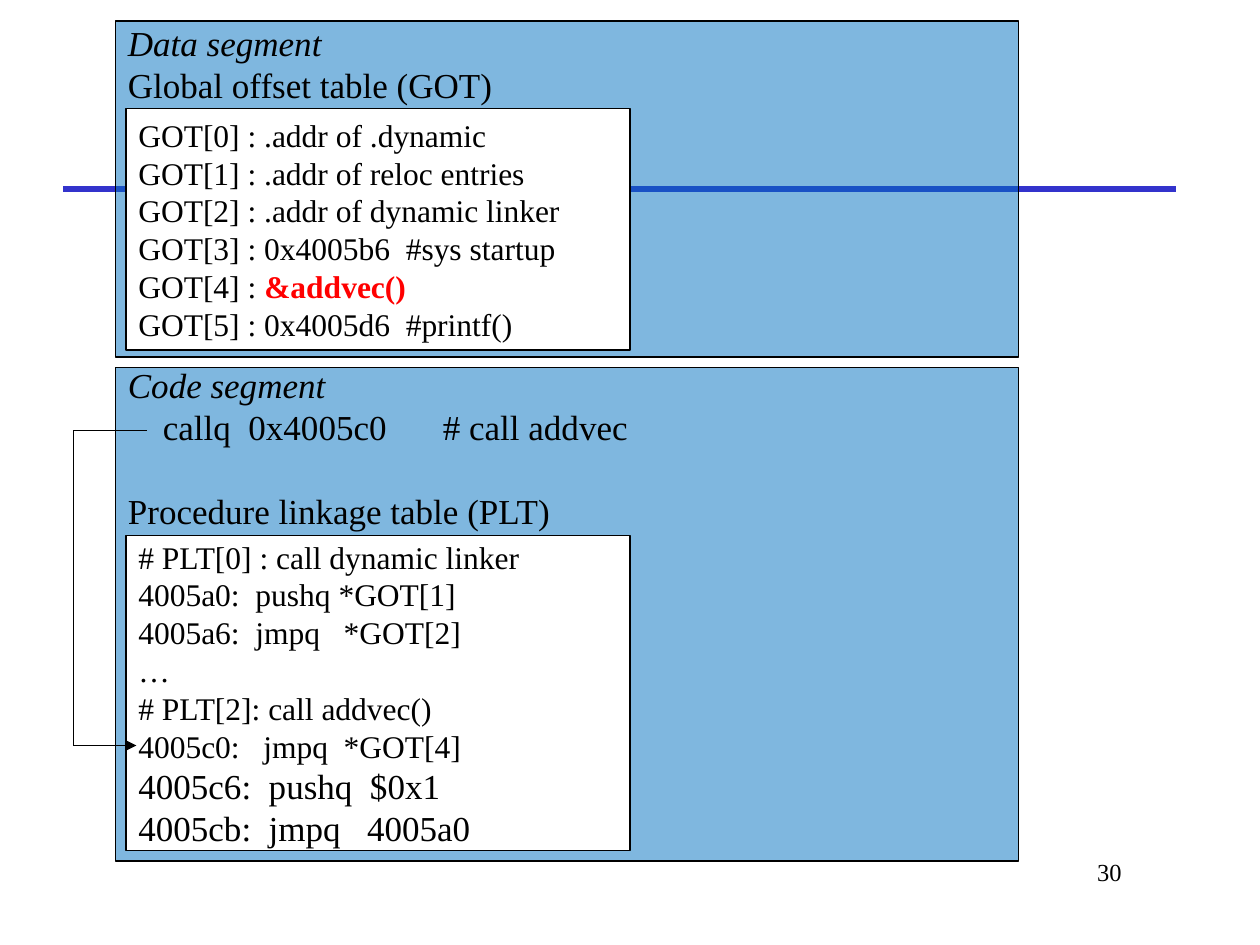
from dataclasses import dataclass

import pptx
import pptx.dml.color
import pptx.enum.shapes
import pptx.enum.text
import pptx.oxml.ns
import pptx.util
from lxml import etree

Pt = pptx.util.Pt
ANCHOR = pptx.enum.text.MSO_ANCHOR
ALIGN = pptx.enum.text.PP_ALIGN
FONT = "Times New Roman"
BLACK, WHITE, RED = "000000", "FFFFFF", "FF0000"
SEGMENT_BLUE, RULE_BLUE = "0070C0", "3333CC"
LINE_FACTOR = 1.2


@dataclass
class Run:
    text: str
    color: str = BLACK
    bold: bool = False
    italic: bool = False


@dataclass
class Line:
    runs: list[Run]
    size: float = 18
    space_before: float = 0


@dataclass
class Box:
    left: float
    top: float
    width: float
    height: float
    fill: str
    lines: list[Line]
    opacity: int = 100
    anchor: ANCHOR = ANCHOR.MIDDLE
    top_inset: float = 3.6


@dataclass
class Segment:
    left: float
    top: float
    width: float
    height: float
    top_inset: float
    lines: list[Line]


def rgb(color: str) -> pptx.dml.color.RGBColor:
    return pptx.dml.color.RGBColor.from_string(color)


def plain(text: str, size: float = 18) -> Line:
    return Line([Run(text)], size)


def write_lines(frame, lines: list[Line], align=ALIGN.LEFT) -> None:
    for index, line in enumerate(lines):
        paragraph = frame.paragraphs[0] if index == 0 else frame.add_paragraph()
        paragraph.alignment = align
        paragraph.line_spacing = Pt(line.size * LINE_FACTOR)
        if line.space_before:
            paragraph.space_before = Pt(line.space_before)
        for part in line.runs:
            run = paragraph.add_run()
            run.text = part.text
            run.font.name = FONT
            run.font.size = Pt(line.size)
            run.font.bold = part.bold
            run.font.italic = part.italic
            run.font.color.rgb = rgb(part.color)


def draw_box(slide, box: Box) -> None:
    shape = slide.shapes.add_shape(
        pptx.enum.shapes.MSO_SHAPE.RECTANGLE,
        Pt(box.left), Pt(box.top), Pt(box.width), Pt(box.height))
    shape.shadow.inherit = False
    shape.fill.solid()
    shape.fill.fore_color.rgb = rgb(box.fill)
    if box.opacity < 100:
        color = shape.fill._xPr.find(".//" + pptx.oxml.ns.qn("a:srgbClr"))
        alpha = etree.SubElement(color, pptx.oxml.ns.qn("a:alpha"))
        alpha.set("val", str(box.opacity * 1000))
    shape.line.color.rgb = rgb(BLACK)
    shape.line.width = Pt(0.75)
    frame = shape.text_frame
    frame.word_wrap = True
    frame.vertical_anchor = box.anchor
    frame.margin_top = Pt(box.top_inset)
    write_lines(frame, box.lines)


def draw_segment(slide, segment: Segment) -> None:
    draw_box(slide, Box(segment.left, segment.top, segment.width, segment.height,
                        SEGMENT_BLUE, segment.lines, 50, ANCHOR.TOP,
                        segment.top_inset))


def draw_line(slide, start: tuple, end: tuple, color: str = BLACK,
              width: float = 0.75, arrow: bool = False) -> None:
    line = slide.shapes.add_connector(
        pptx.enum.shapes.MSO_CONNECTOR.STRAIGHT, *map(Pt, start + end))
    line.line.color.rgb = rgb(color)
    line.line.width = Pt(width)
    if arrow:
        head = etree.SubElement(line.line._get_or_add_ln(),
                                pptx.oxml.ns.qn("a:tailEnd"))
        head.set("type", "triangle")
    etree.SubElement(line._element.spPr, pptx.oxml.ns.qn("a:effectLst"))


def draw_page_number(slide, number: str) -> None:
    frame = slide.shapes.add_textbox(
        Pt(546), Pt(486), Pt(102), Pt(36)).text_frame
    frame.word_wrap = True
    write_lines(frame, [plain(number, 14)], ALIGN.RIGHT)


DATA_SEGMENT = Segment(66, 12, 516, 192, 0, [
    Line([Run("Data segment", italic=True)], 20),
    plain("Global offset table (GOT)", 20),
])
GOT = Box(72, 62, 288, 138, WHITE, [
    plain("GOT[0] : .addr of .dynamic"),
    plain("GOT[1] : .addr of reloc entries"),
    plain("GOT[2] : .addr of dynamic linker"),
    plain("GOT[3] : 0x4005b6  #sys startup"),
    Line([Run("GOT[4] : "), Run("&addvec()", RED, bold=True)]),
    plain("GOT[5] : 0x4005d6  #printf()"),
])
CODE_SEGMENT = Segment(66, 210, 516, 282, -2, [
    Line([Run("Code segment", italic=True)], 20),
    plain("    callq  0x4005c0\t# call addvec", 20),
    Line([Run("Procedure linkage table (PLT)")], 20, space_before=24),
])
PLT = Box(72, 306, 288, 180, WHITE, [
    plain("# PLT[0] : call dynamic linker"),
    plain("4005a0:  pushq *GOT[1]"),
    plain("4005a6:  jmpq   *GOT[2]"),
    plain("…"),
    plain("# PLT[2]: call addvec()"),
    plain("4005c0:   jmpq  *GOT[4]"),
    plain("4005c6:  pushq  $0x1", 20),
    plain("4005cb:  jmpq   4005a0", 20),
])
CALL_PATH = [(84, 246), (42, 246), (42, 426), (78, 426)]


def main() -> None:
    deck = pptx.Presentation()
    deck.slide_width, deck.slide_height = Pt(720), Pt(540)
    slide = deck.slides.add_slide(deck.slide_layouts[6])

    draw_line(slide, (36, 108), (672, 108), RULE_BLUE, 3)
    draw_page_number(slide, "30")
    for segment, table in ((DATA_SEGMENT, GOT), (CODE_SEGMENT, PLT)):
        draw_segment(slide, segment)
        draw_box(slide, table)
    for start, end in zip(CALL_PATH, CALL_PATH[1:]):
        draw_line(slide, start, end, arrow=end == CALL_PATH[-1])

    deck.save("out.pptx")


if __name__ == "__main__":
    main()
